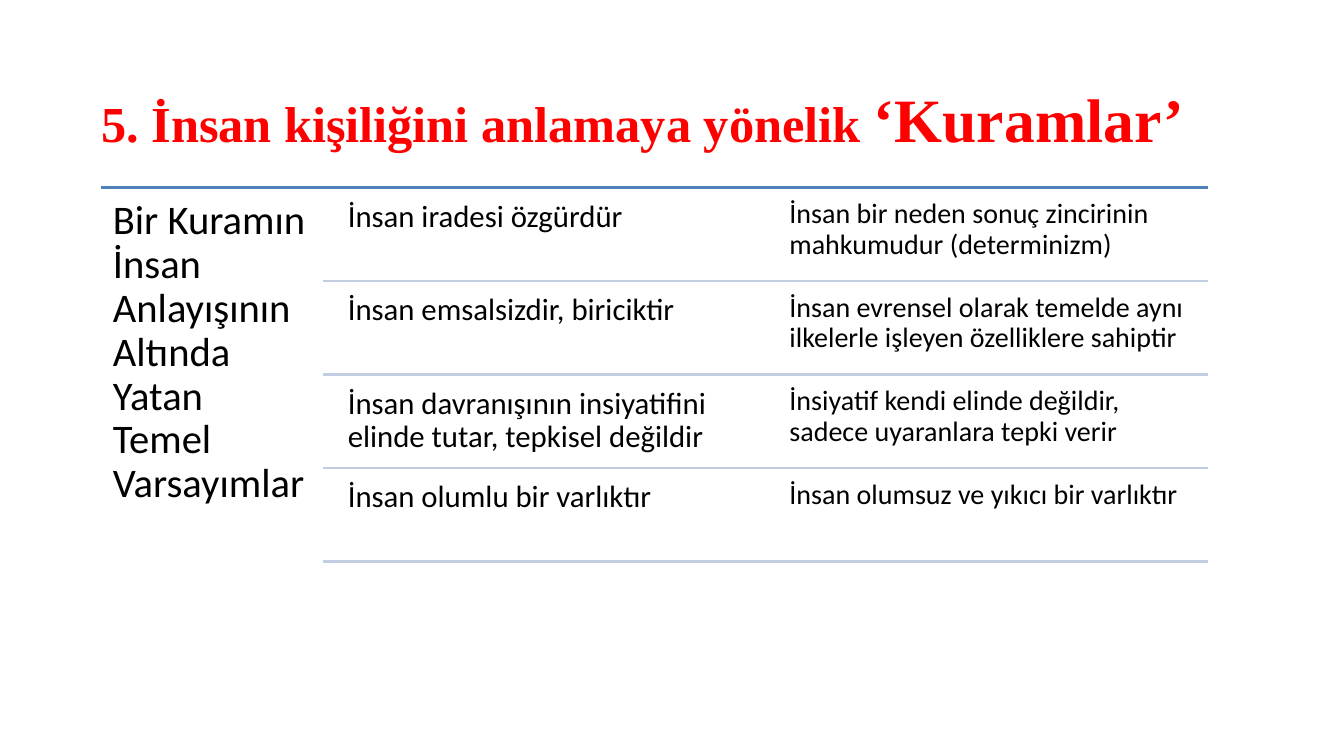
from pptx import Presentation
from pptx.dml.color import RGBColor
from pptx.enum.shapes import MSO_CONNECTOR
from pptx.enum.text import MSO_ANCHOR, MSO_AUTO_SIZE, PP_ALIGN
from pptx.oxml.ns import qn
from pptx.util import Inches, Pt
from lxml.etree import SubElement

HEAD = "Bir Kuramın İnsan Anlayışının Altında Yatan Temel Varsayımlar"
PAIRS = [
    ("İnsan iradesi özgürdür",
     "İnsan bir neden sonuç zincirinin mahkumudur (determinizm)"),
    ("İnsan emsalsizdir, biriciktir",
     "İnsan evrensel olarak temelde aynı ilkelerle işleyen özelliklere sahiptir"),
    ("İnsan davranışının insiyatifini elinde tutar, tepkisel değildir",
     "İnsiyatif kendi elinde değildir, sadece uyaranlara tepki verir"),
    ("İnsan olumlu bir varlıktır",
     "İnsan olumsuz ve yıkıcı bir varlıktır"),
]
TITLE = [("5. İnsan ", 36, -10), ("kişiliğini anlamaya yönelik ", 36, 0),
         ("‘Kuramlar’", 44, 10)]
LEFT, INNER, RIGHT = 1, 3.2, 11.98
TOP, STEP = 1.86, 0.928


def paint(color, tone):
    color.rgb = RGBColor.from_string(tone)


def style(font, name, size, tone):
    font.name = name
    font.size = Pt(size)
    paint(font.color, tone)


def place(shape, left, top, width, height):
    shape.left, shape.top = Inches(left), Inches(top)
    shape.width, shape.height = Inches(width), Inches(height)


def inset(frame, left, top, right, bottom):
    frame.margin_left, frame.margin_top = Inches(left), Inches(top)
    frame.margin_right, frame.margin_bottom = Inches(right), Inches(bottom)


def add_title(slide):
    title = slide.shapes.title
    place(title, 1, 0.79, 11.25, 0.75)
    frame = title.text_frame
    inset(frame, 0, 0.01, 0, 0)
    frame.word_wrap = True
    frame.auto_size = MSO_AUTO_SIZE.SHAPE_TO_FIT_TEXT
    frame.vertical_anchor = MSO_ANCHOR.TOP
    para = frame.paragraphs[0]
    para.alignment = PP_ALIGN.LEFT
    para._p.get_or_add_pPr().set("marL", str(Inches(0.01)))
    for text, size, gap in TITLE:
        run = para.add_run()
        run.text = text
        style(run.font, "Times New Roman", size, "FF0000")
        run.font.bold = True
        run._r.get_or_add_rPr().set("spc", str(gap))


def add_rule(slide, left, top, tone):
    rule = slide.shapes.add_connector(
        MSO_CONNECTOR.STRAIGHT, Inches(left), Inches(top), Inches(RIGHT), Inches(top))
    paint(rule.line.color, tone)
    rule.line.width = Pt(2)
    SubElement(rule._element.spPr, qn("a:effectLst"))


def add_text(slide, text, left, top, width, height, size, pad):
    box = slide.shapes.add_textbox(
        Inches(left), Inches(top), Inches(width), Inches(height))
    frame = box.text_frame
    frame.word_wrap = True
    inset(frame, pad, pad, pad, pad)
    frame.text = text
    para = frame.paragraphs[0]
    para.line_spacing = 0.9
    style(para.runs[0].font, "Calibri", size, "000000")


def main():
    deck = Presentation()
    deck.slide_width, deck.slide_height = Inches(13.33), Inches(7.5)
    slide = deck.slides.add_slide(deck.slide_layouts[5])
    add_title(slide)

    # Heading column
    add_rule(slide, LEFT, TOP, "4F81BD")
    add_text(slide, HEAD, LEFT, TOP, 2.2, 3.76, 29, 0.12)

    # Opposing views, each row closed by a rule
    for row, (free, bound) in enumerate(PAIRS):
        top = TOP + row * STEP
        add_text(slide, free, 3.36, top + 0.04, 4.23, 0.88, 22, 0.09)
        add_text(slide, bound, 7.75, top + 0.04, 4.23, 0.88, 20, 0.08)
        add_rule(slide, INNER, top + STEP, "C2CDE1")

    deck.save("out.pptx")


if __name__ == "__main__":
    main()
